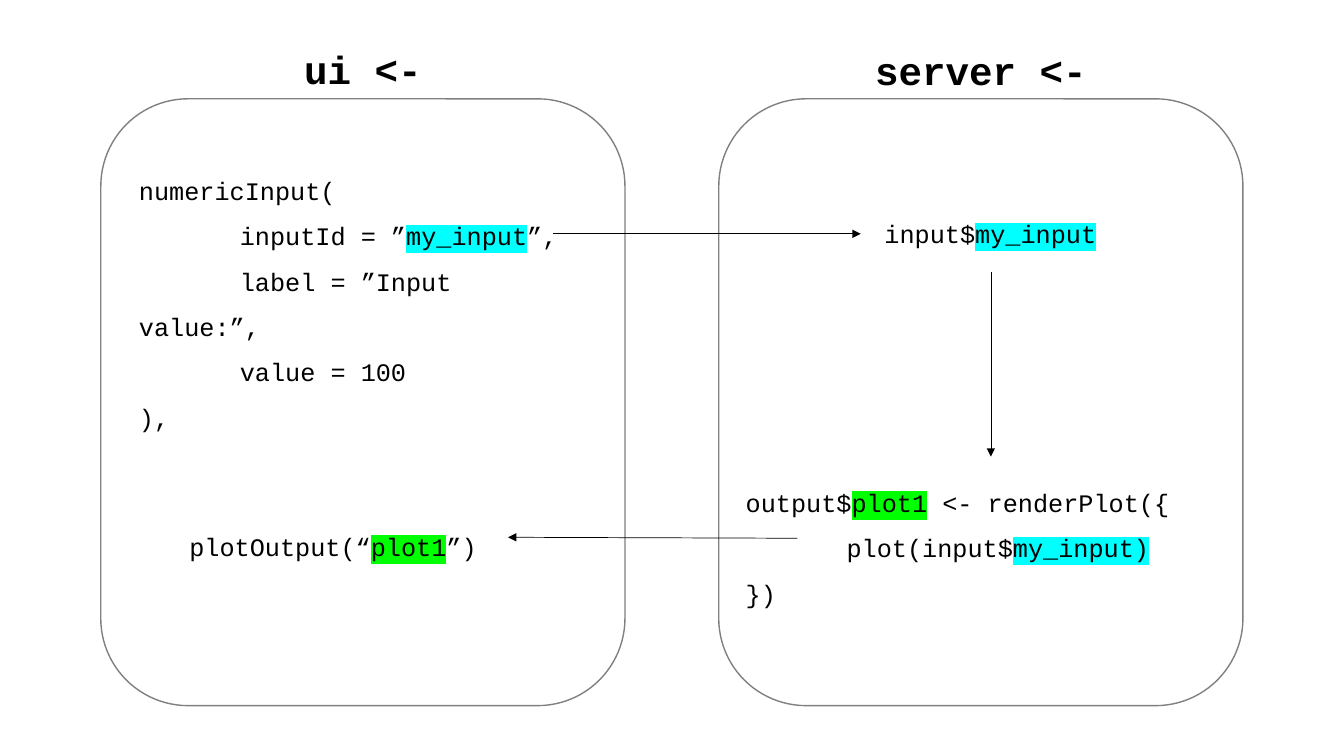
import pptx
import pptx.dml.color
import pptx.enum.shapes
import pptx.enum.text
import pptx.oxml
import pptx.oxml.ns
import pptx.util

RGBColor = pptx.dml.color.RGBColor
BLACK = RGBColor(0, 0, 0)
GRAY = RGBColor(0x80, 0x80, 0x80)
CYAN = RGBColor(0, 0xFF, 0xFF)
GREEN = RGBColor(0, 0xFF, 0)
WIDTH, HEIGHT = pptx.util.Inches(13.33), pptx.util.Inches(7.5)
TAB_STOP = pptx.util.Inches(1)
LEFT, CENTER = pptx.enum.text.PP_ALIGN.LEFT, pptx.enum.text.PP_ALIGN.CENTER
CODE = {"name": "Courier New", "size": pptx.util.Pt(18), "bold": False}
TITLE = {**CODE, "size": pptx.util.Pt(28), "bold": True}
PANEL_TOP, PANEL_WIDTH, PANEL_HEIGHT = 13.07, 39, 80.27


def place(*shares):
    """Turn alternating percentages of slide width and height into lengths."""
    return [int(share / 100 * (HEIGHT if i % 2 else WIDTH)) for i, share in enumerate(shares)]


def add_xml(parent, tag, attributes=""):
    """Append a DrawingML element to parent and return it."""
    xml = f"<a:{tag} {pptx.oxml.ns.nsdecls('a')} {attributes}/>"
    child = pptx.oxml.parse_xml(xml)
    parent.append(child)
    return child


def add_run(p, text, font, mark=None):
    """Add a black run, with a highlight when a mark colour is given."""
    r = p.add_run()
    r.text = text
    r.font.color.rgb = BLACK
    if mark is not None:
        highlight = add_xml(r.font._element, "highlight")
        add_xml(highlight, "srgbClr", f'val="{mark}"')
    for name, value in font.items():
        setattr(r.font, name, value)


def add_text(s, box, lines, font=CODE, align=LEFT, spacing=1.5):
    """Add a text box whose lines are lists of run arguments."""
    tf = s.shapes.add_textbox(*place(*box)).text_frame
    tf.word_wrap = True
    tf.auto_size = pptx.enum.text.MSO_AUTO_SIZE.SHAPE_TO_FIT_TEXT
    for i, line in enumerate(lines):
        p = tf.add_paragraph() if i else tf.paragraphs[0]
        p.alignment, p.line_spacing = align, spacing
        tabs = add_xml(p._p.get_or_add_pPr(), "tabLst")
        add_xml(tabs, "tab", f'pos="{int(TAB_STOP)}" algn="l"')
        for text, *mark in line:
            add_run(p, text, font, *mark)


def add_panel(s, left, title, title_top):
    """Add a rounded outline with its heading centred above it."""
    sp = s.shapes.add_shape(pptx.enum.shapes.MSO_SHAPE.ROUNDED_RECTANGLE,
                            *place(left, PANEL_TOP, PANEL_WIDTH, PANEL_HEIGHT))
    sp.shadow.inherit = False
    sp.fill.background()
    sp.line.color.rgb = GRAY
    sp.line.width = pptx.util.Pt(1)
    add_text(s, (left, title_top, PANEL_WIDTH, 7.6), [[(title,)]], TITLE, CENTER, 1)


def add_arrow(s, *ends):
    """Add a thin arrow between two points."""
    sp = s.shapes.add_connector(pptx.enum.shapes.MSO_CONNECTOR.STRAIGHT, *place(*ends))
    sp.line.color.rgb = BLACK
    sp.line.width = pptx.util.Pt(0.5)
    add_xml(sp.line._get_or_add_ln(), "tailEnd", 'type="triangle"')
    add_xml(sp._element.spPr, "effectLst")


def main():
    """Build the ui and server diagram."""
    prs = pptx.Presentation()
    prs.slide_width, prs.slide_height = WIDTH, HEIGHT
    s = prs.slides.add_slide(prs.slide_layouts[6])
    add_panel(s, 7.5, "ui <-", 5.35)
    add_panel(s, 53.48, "server <-", 5.5)
    add_text(s, (9.6, 20.53, 34.73, 30.93), [
        [("numericInput(",)],
        [("\tinputId = ”",), ("my_input", CYAN), ("”,",)],
        [("\tlabel = ”Input value:”,",)],
        [("\tvalue = 100",)],
        [("),",)],
    ])
    add_text(s, (13.35, 67.6, 27, 6.67),
             [[("plotOutput(“",), ("plot1", GREEN), ("”)",)]])
    add_text(s, (64.05, 28.27, 19.28, 5.33),
             [[("input$",), ("my_input", CYAN)]], align=CENTER, spacing=1)
    add_text(s, (54.75, 61.78, 37.8, 18.8), [
        [("output$",), ("plot1", GREEN), (" <- renderPlot({",)],
        [("\tplot(input$",), ("my_input)", CYAN)],
        [("})",)],
    ])
    add_arrow(s, 41.18, 30.93, 64.05, 30.93)
    add_arrow(s, 73.73, 36, 73.73, 60.4)
    add_arrow(s, 59.33, 71.2, 37.8, 71.07)
    prs.save("out.pptx")


main()
